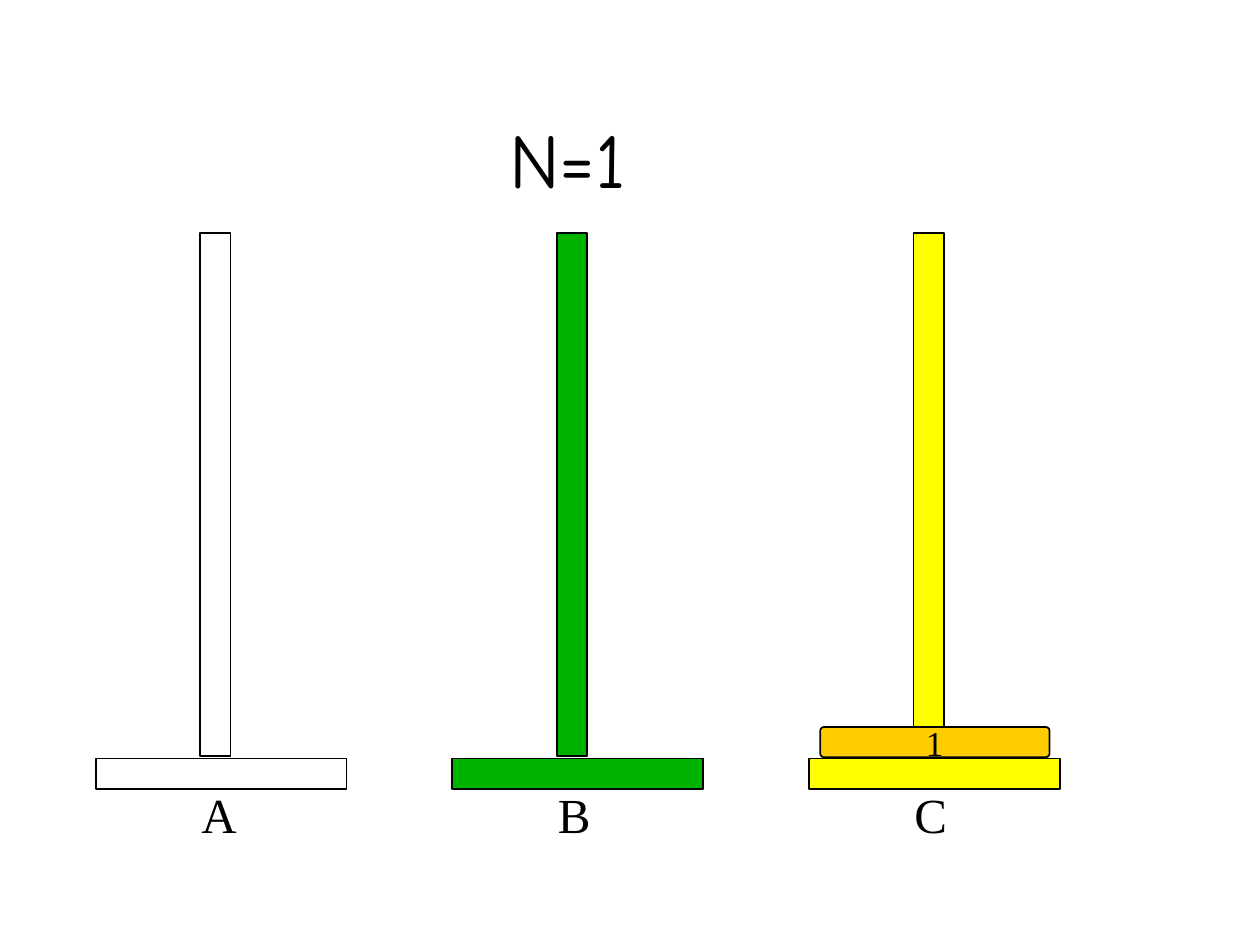
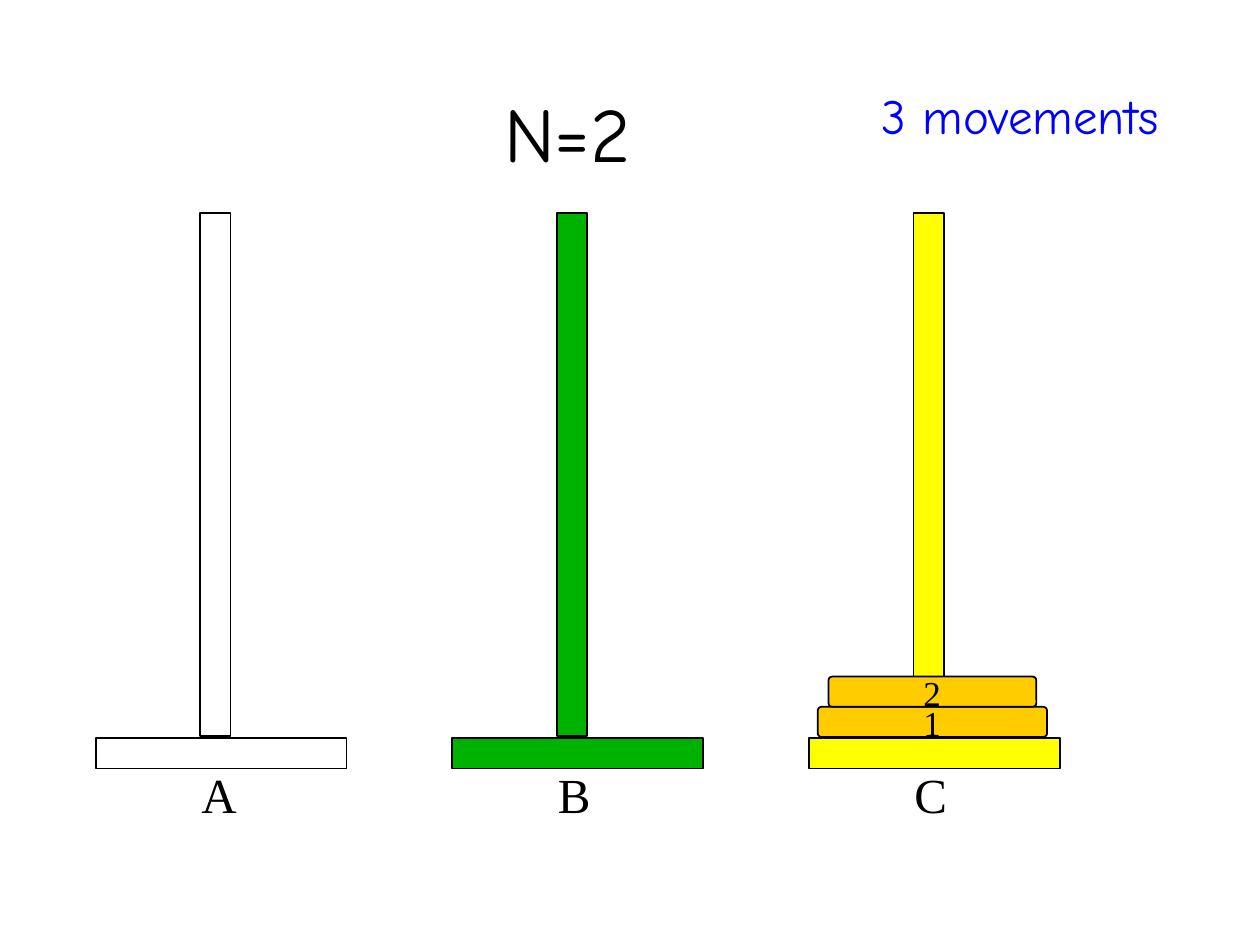
from pptx import Presentation
from pptx.dml.color import RGBColor
from pptx.enum.shapes import MSO_SHAPE
from pptx.enum.text import MSO_ANCHOR, MSO_AUTO_SIZE, PP_ALIGN
from pptx.util import Inches, Pt

RECTANGLE, ROUNDED = MSO_SHAPE.RECTANGLE, MSO_SHAPE.ROUNDED_RECTANGLE
BOTTOM, NO_RESIZE, CENTER = MSO_ANCHOR.BOTTOM, MSO_AUTO_SIZE.NONE, PP_ALIGN.CENTER

BLACK = RGBColor(0x00, 0x00, 0x00)
WHITE = RGBColor(0xFF, 0xFF, 0xFF)
GREEN = RGBColor(0x00, 0xB2, 0x00)
YELLOW = RGBColor(0xFF, 0xFF, 0x00)
ORANGE = RGBColor(0xFF, 0xCC, 0x00)
BLUE = RGBColor(0x00, 0x00, 0xFF)
HAND_FONT, SERIF_FONT = "Comic Neue", "Times New Roman"

# Tower grid, in inches
TOWERS = [("A", WHITE), ("B", GREEN), ("C", YELLOW)]
FIRST_LEFT, TOWER_PITCH = 0.76, 2.83
BASE_WIDTH, POLE_HEIGHT, THICKNESS = 1.99, 4.15, 0.24
POLE_OFFSET, LABEL_OFFSET = 0.83, 0.74
BASE_GAP = 0.02
DISC_WIDTHS = [1.82, 1.65]

# Title, title height, top of the poles, centre of the discs, number of discs, note
STATES = [
    ("N=1", 1.5, 1.85, 7.42, 1, None),
    ("N=2", 1.29, 1.69, 7.4, 2, "3 movements"),
]


def add_block(page, kind, left, top, width, height, color):
    block = page.shapes.add_shape(
        kind, Inches(left), Inches(top), Inches(width), Inches(height))
    block.shadow.inherit = False
    block.fill.solid()
    block.fill.fore_color.rgb = color
    block.line.color.rgb = BLACK
    block.line.width = Pt(1)
    return block


def add_text(page, text, left, top, width, height, size,
             font=SERIF_FONT, color=BLACK):
    box = page.shapes.add_textbox(
        Inches(left), Inches(top), Inches(width), Inches(height))
    box.text_frame.word_wrap = True
    box.text_frame.text = text
    span = box.text_frame.paragraphs[0].runs[0]
    span.font.name, span.font.size = font, Pt(size)
    span.font.color.rgb = color


deck = Presentation()
deck.slide_width, deck.slide_height = Inches(10), Inches(7.5)
title_only = deck.slide_layouts[5]

for heading, title_height, pole_top, disc_center, disc_count, note in STATES:
    page = deck.slides.add_slide(title_only)

    # Title
    title = page.shapes.title
    title.left, title.top = Inches(0.75), Inches(0.17)
    title.width, title.height = Inches(7.51), Inches(title_height)
    frame = title.text_frame
    frame.text = heading
    frame.vertical_anchor, frame.auto_size = BOTTOM, NO_RESIZE
    para = frame.paragraphs[0]
    para.alignment = CENTER
    span = para.runs[0]
    span.font.name, span.font.size = HAND_FONT, Pt(44)
    span.font.color.rgb = BLACK

    # Towers: base, pole and letter
    base_top = pole_top + POLE_HEIGHT + BASE_GAP
    for column, (letter, color) in enumerate(TOWERS):
        left = FIRST_LEFT + column * TOWER_PITCH
        add_block(page, RECTANGLE, left, base_top, BASE_WIDTH, THICKNESS, color)
        add_block(page, RECTANGLE, left + POLE_OFFSET, pole_top,
                  THICKNESS, POLE_HEIGHT, color)
        add_text(page, letter, left + LABEL_OFFSET, base_top + 0.16, 1, 0.57, 28)

    # Discs stacked on the last tower, each with its number
    for level, width in enumerate(DISC_WIDTHS[:disc_count]):
        disc_top = base_top - 0.25 - level * THICKNESS
        disc = add_block(page, ROUNDED, disc_center - width / 2, disc_top,
                         width, THICKNESS, ORANGE)
        disc.adjustments[0] = 0.125
        add_text(page, str(level + 1), disc_center - 0.17, disc_top - 0.09,
                 0.75, 0.43, 20)

    # Number of movements
    if note:
        add_text(page, note, 6.9, 0.63, 2.83, 0.57, 28, HAND_FONT, BLUE)

deck.save("out.pptx")
